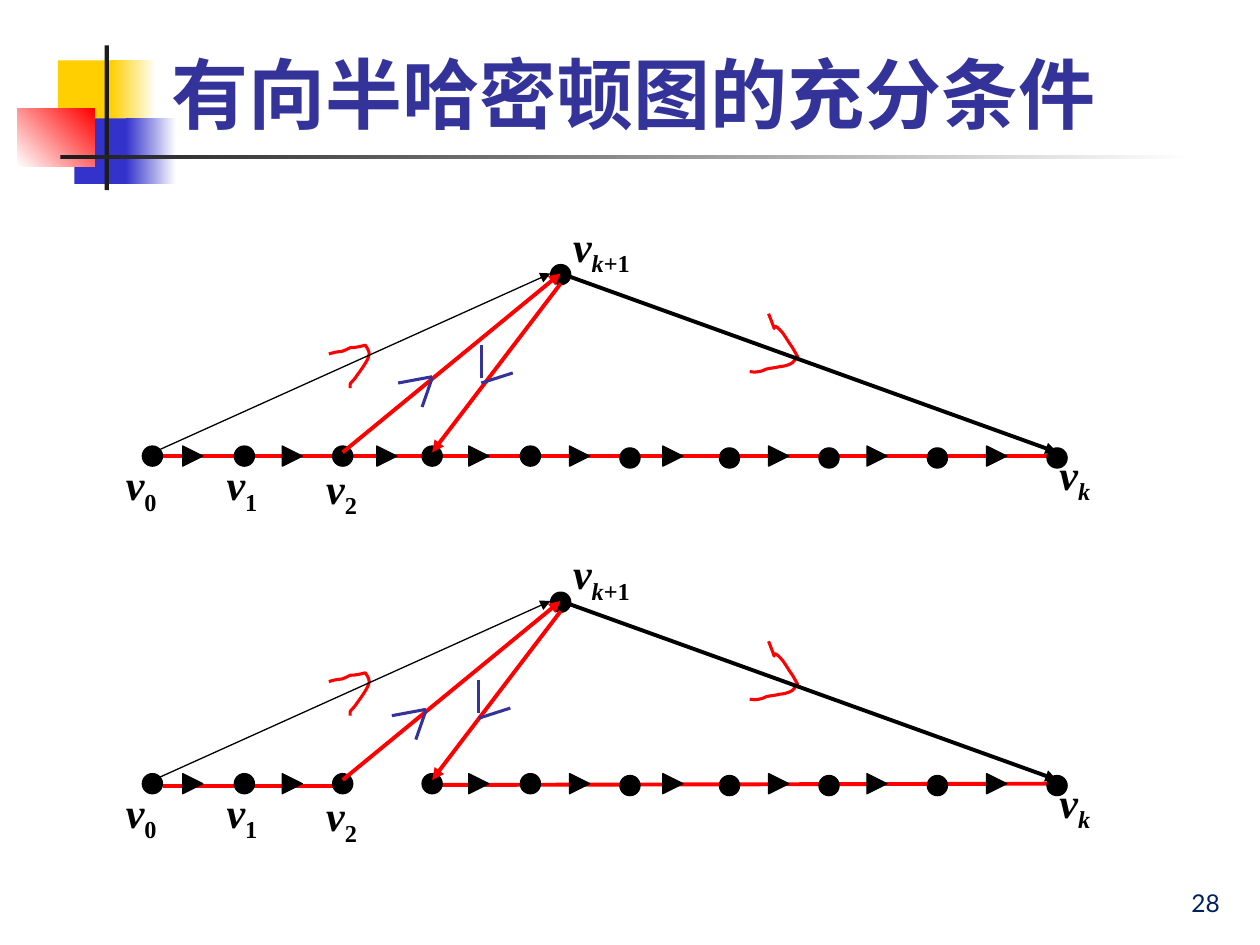
from lxml import etree
from pptx import Presentation
from pptx.dml.color import RGBColor
from pptx.enum.shapes import MSO_CONNECTOR, MSO_SHAPE
from pptx.enum.text import MSO_ANCHOR, MSO_AUTO_SIZE, PP_ALIGN
from pptx.oxml.ns import qn
from pptx.util import Inches, Pt

RECTANGLE = MSO_SHAPE.RECTANGLE
OVAL = MSO_SHAPE.OVAL
TRIANGLE = MSO_SHAPE.ISOSCELES_TRIANGLE
STRAIGHT = MSO_CONNECTOR.STRAIGHT
TOP, BOTTOM = MSO_ANCHOR.TOP, MSO_ANCHOR.BOTTOM
LEFT, RIGHT = PP_ALIGN.LEFT, PP_ALIGN.RIGHT
FIT, FIXED = MSO_AUTO_SIZE.SHAPE_TO_FIT_TEXT, MSO_AUTO_SIZE.NONE

BLACK = RGBColor(0x00, 0x00, 0x00)
CHARCOAL = RGBColor(0x1C, 0x1C, 0x1C)
WHITE = RGBColor(0xFF, 0xFF, 0xFF)
RED = RGBColor(0xFF, 0x00, 0x00)
YELLOW = RGBColor(0xFF, 0xCF, 0x01)
BLUE = RGBColor(0x33, 0x33, 0xCC)
INDIGO = RGBColor(0x33, 0x33, 0x99)
NAVY = RGBColor(0x00, 0x20, 0x60)

presentation = Presentation()
presentation.slide_width = Inches(10)
presentation.slide_height = Inches(7.5)
slide = presentation.slides.add_slide(presentation.slide_layouts[6])
shapes = slide.shapes
CELL = presentation.slide_width // 100


def add_filled(kind, box, colors, angle=0):
    shape = shapes.add_shape(kind, *[round(value * CELL) for value in box])
    shape.shadow.inherit = False
    if len(colors) == 1:
        shape.fill.solid()
        shape.fill.fore_color.rgb = colors[0]
    else:
        shape.fill.gradient()
        shape.fill.gradient_angle = angle
        for stop, color in zip(shape.fill.gradient_stops, colors):
            stop.color.rgb = color
    shape.line.fill.background()
    return shape


def add_line(ends, color, width, arrow=False):
    connector = shapes.add_connector(STRAIGHT, *[round(value * CELL) for value in ends])
    connector.line.color.rgb = color
    connector.line.width = Pt(width)
    properties = connector._element.spPr
    if arrow:
        etree.SubElement(properties.find(qn("a:ln")), qn("a:tailEnd"), type="triangle")
    etree.SubElement(properties, qn("a:effectLst"))


for box, colors, angle in [
    ((4.6, 4.8, 4.8, 5.2), [YELLOW], 0),
    ((8.8, 4.8, 3.6, 5.2), [YELLOW, WHITE], 0),
    ((5.9, 9.4, 4.6, 5.2), [BLUE], 0),
    ((10, 9.4, 4, 5.2), [BLUE, WHITE], 0),
    ((1.4, 8.6, 6.1, 4.6), [WHITE, RED], 45),
    ((8.3, 3.6, 0.35, 11.5), [CHARCOAL], 0),
    ((4.8, 12.3, 90, 0.35), [CHARCOAL, WHITE], 0),
]:
    add_filled(RECTANGLE, box, colors, angle)

DOT = 1.6
DOT_COLUMNS = [11.3, 18.6, 26.4, 33.5, 41.3, 49.2, 57.1, 65, 73.6, 83.1]
ARROW_COLUMNS = [14.5, 22.4, 29.9, 37.2, 45.2, 52.6, 61, 68.8, 78.3]
GAP_ARROW = 2
CURVES = [
    ((26.1, 28.1), [
        [(26.4, 28), (26.8, 27.9), (27.1, 27.9)],
        [(27.4, 27.8), (27.6, 27.7), (27.8, 27.6)],
        [(28.2, 27.6), (28.6, 27.5), (29, 27.4)],
        [(29.1, 27.6), (29.3, 27.8), (29.3, 28.1)],
        [(29.3, 28.6), (28.3, 29.8), (28.2, 30)],
        [(27.7, 30.6), (27.8, 30.3), (27.8, 30.8)],
    ]),
    ((61, 24.9), [
        [(62, 27.4), (60.8, 24.9), (62.1, 26.4)],
        [(62.4, 26.8), (62.6, 27.2), (62.9, 27.6)],
        [(63.3, 28.3)],
        [(63.1, 28.5), (63, 28.8), (62.7, 28.9)],
        [(62.5, 29), (62.1, 29.1), (61.9, 29.1)],
        [(61.5, 29.2), (61.2, 29.2), (60.8, 29.3)],
        [(60.6, 29.4), (60.4, 29.5), (60.2, 29.5)],
        [(60, 29.6), (59.8, 29.5), (59.5, 29.5)],
    ]),
]
EDGES = [
    ((12.2, 35.9, 43.7, 21.7), BLACK, 0.75),
    ((27.2, 35.9, 44.5, 21.7), RED, 2.25),
    ((44.5, 22.5, 34.3, 35.9), RED, 2.25),
    ((44.5, 21.7, 83.9, 35.9), BLACK, 2.25),
]
UP_MARK = [(31.6, 30.4, 34.3, 29.9), (34.3, 30, 33.5, 32.3)]
DOWN_MARK = [(38.2, 27.4, 38.2, 30), (38.2, 30.4, 40.7, 29.6)]
LABELS = [
    ((9, 35.9, 4.6, 5), [("0", False)]),
    ((17, 35.9, 4.6, 5), [("1", False)]),
    ((24.9, 36.2, 4.6, 5), [("2", False)]),
    ((83.1, 35.1, 4.6, 5), [("k", True)]),
    ((44.5, 17, 7, 5), [("k", True), ("+1", False)]),
]
DIAGRAMS = [
    (0, [(12.9, 36.2, 83.9, 36.2)], (0, 0), (0, 0), None),
    (26, [(12.9, 36.4, 26.7, 36.4), (34.1, 36.3, 83.9, 36.2)],
     (-0.5, 0.4), (-0.2, 0.6), GAP_ARROW),
]

TITLE_FONT = {"name": "Lato", "size": Pt(44), "bold": True}
NUMBER_FONT = {"name": "Lato", "size": Pt(14)}
LABEL_FONT = {"name": "Times New Roman", "size": Pt(24), "bold": True}
FIXED_FRAME = {"word_wrap": True, "vertical_anchor": BOTTOM, "auto_size": FIXED}
LABEL_FRAME = {"word_wrap": False, "vertical_anchor": TOP, "auto_size": FIT}
texts = [
    ((12.6, 0.8, 85.2, 10.7), [("有向半哈密顿图的充分条件", None, False)],
     FIXED_FRAME, TITLE_FONT, INDIGO, LEFT),
    ((77, 68.3, 20.8, 5), [("28", None, False)],
     FIXED_FRAME, NUMBER_FONT, NAVY, RIGHT),
]

for top, paths, up_shift, down_shift, missing in DIAGRAMS:
    for start, segments in CURVES:
        points = [(round(x * CELL), round((y + top) * CELL))
                  for x, y in [start] + sum(segments, [])]
        builder = shapes.build_freeform(*points[0])
        builder.add_line_segments(points[1:], close=False)
        stroke = builder.convert_to_shape()
        stroke.shadow.inherit = False
        stroke.fill.background()
        stroke.line.color.rgb = RED
        stroke.line.width = Pt(1.75)
        outline = stroke._element.find(".//" + qn("a:path"))
        nodes = iter(outline.findall(qn("a:lnTo")))
        for segment in segments:
            curve, *controls = [next(nodes) for point in segment]
            if controls:
                curve.tag = qn("a:cubicBezTo")
            for control in controls:
                curve.append(control[0])
                outline.remove(control)

    for x1, y1, x2, y2 in paths:
        add_line((x1, y1 + top, x2, y2 + top), RED, 2.25)

    vertices = [(OVAL, column, 35.4 if index < 5 else 35.55)
                for index, column in enumerate(DOT_COLUMNS)]
    vertices.append((OVAL, 43.7, 21))
    vertices += [(TRIANGLE, column, 35.4)
                 for index, column in enumerate(ARROW_COLUMNS) if index != missing]
    for kind, column, row in vertices:
        vertex = add_filled(kind, (column, row + top, DOT, DOT), [BLACK])
        vertex.line.color.rgb = BLACK
        vertex.line.width = Pt(0.75)
        vertex.rotation = 90 if kind == TRIANGLE else 0

    for (x1, y1, x2, y2), color, width in EDGES:
        add_line((x1, y1 + top, x2, y2 + top), color, width, arrow=True)

    for mark, (dx, dy) in [(UP_MARK, up_shift), (DOWN_MARK, down_shift)]:
        for x1, y1, x2, y2 in mark:
            add_line((x1 + dx, y1 + dy + top, x2 + dx, y2 + dy + top), INDIGO, 1.75)

    for (column, row, width, height), subscripts in LABELS:
        runs = [("v", True, False)] + [(text, italic, True) for text, italic in subscripts]
        texts.append(((column, row + top, width, height), runs,
                      LABEL_FRAME, LABEL_FONT, BLACK, LEFT))

for box, runs, frame_format, font_format, color, alignment in texts:
    frame = shapes.add_textbox(*[round(value * CELL) for value in box]).text_frame
    for name, value in frame_format.items():
        setattr(frame, name, value)
    paragraph = frame.paragraphs[0]
    paragraph.alignment = alignment
    for text, italic, lowered in runs:
        run = paragraph.add_run()
        run.text = text
        for name, value in font_format.items():
            setattr(run.font, name, value)
        run.font.italic = italic
        run.font.color.rgb = color
        if lowered:
            run._r.get_or_add_rPr().set("baseline", "-25000")

presentation.save("out.pptx")
